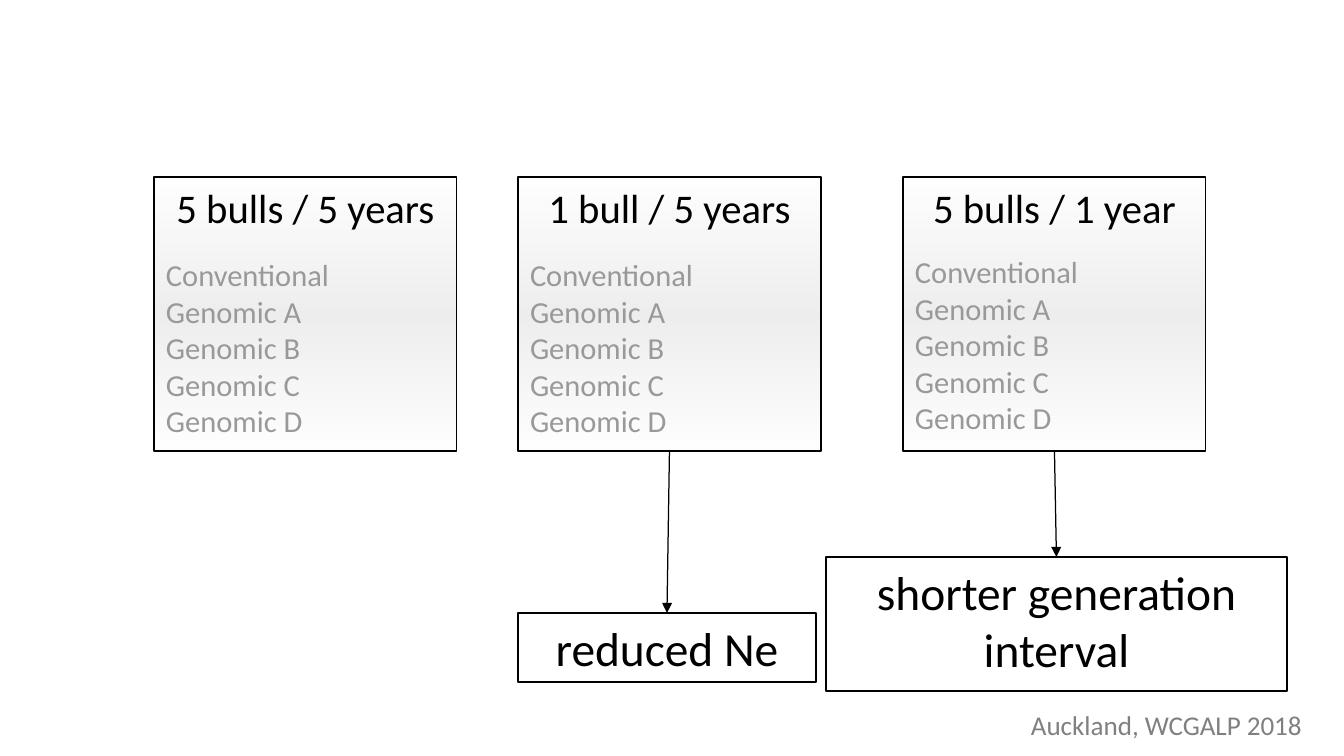
from lxml.etree import SubElement
from pptx import Presentation
from pptx.dml.color import RGBColor
from pptx.enum.shapes import MSO_CONNECTOR, MSO_SHAPE
from pptx.enum.text import MSO_ANCHOR, PP_ALIGN
from pptx.oxml.ns import qn
from pptx.util import Pt

EMU_PER_PX = 914400 / 122
BLACK = RGBColor(0x00, 0x00, 0x00)
GREY = RGBColor(0x80, 0x80, 0x80)
LIGHT_GREY = RGBColor(0x99, 0x99, 0x99)
PALE_GREY = RGBColor(0xEE, 0xEE, 0xEE)

BOTTOM, TOP = 2, 0
SCHEMES = ["Conventional", "Genomic A", "Genomic B", "Genomic C", "Genomic D"]
# heading, box left, list top
SCENARIOS = [
    ("5 bulls / 5 years", 154, 250),
    ("1 bull / 5 years", 518, 250),
    ("5 bulls / 1 year", 903, 247),
]
# scenario index, outcome, box
OUTCOMES = [
    (1, "reduced Ne", (518, 613, 298, 69)),
    (2, "shorter generation interval", (826, 557, 461, 134)),
]


def px(*lengths):
    return [round(length * EMU_PER_PX) for length in lengths]


class SlideBuilder:
    font_name = "Calibri"
    line_width = Pt(0.75)

    def __init__(self, slide):
        self.slide = slide

    def set_text(self, shape, lines, size, color, align=PP_ALIGN.LEFT):
        frame = shape.text_frame
        for name, value in {"word_wrap": True, "vertical_anchor": MSO_ANCHOR.TOP}.items():
            setattr(frame, name, value)
        frame.text = "\n".join(lines)
        for paragraph in frame.paragraphs:
            paragraph.alignment = align
            font = paragraph.runs[0].font
            for name, value in {"name": self.font_name, "size": Pt(size)}.items():
                setattr(font, name, value)
            font.color.rgb = color

    def draw_line(self, line):
        line.color.rgb = BLACK
        line.width = self.line_width

    def text(self, box, lines, size, color):
        self.set_text(self.slide.shapes.add_textbox(*px(*box)), lines, size, color)

    def box(self, box, label, size):
        shape = self.slide.shapes.add_shape(MSO_SHAPE.RECTANGLE, *px(*box))
        shape.shadow.inherit = False
        shape.fill.background()
        self.draw_line(shape.line)
        self.set_text(shape, [label], size, BLACK, PP_ALIGN.CENTER)
        return shape

    def add_glow(self, shape):
        """Fill with a vertical gradient that is opaque only halfway down."""
        shape.fill.gradient()
        shape.fill.gradient_angle = 270
        stops = next(shape.element.iter(qn("a:gsLst")))
        for stop in list(stops):
            stops.remove(stop)
        for position, opacity in ((0, 0), (50, 100), (100, 0)):
            stop = SubElement(stops, qn("a:gs"), pos=str(position * 1000))
            color = SubElement(stop, qn("a:srgbClr"), val=str(PALE_GREY))
            SubElement(color, qn("a:alpha"), val=str(opacity * 1000))

    def arrow(self, start, end):
        connector = self.slide.shapes.add_connector(MSO_CONNECTOR.STRAIGHT, 0, 0, 0, 0)
        connector.begin_connect(start, BOTTOM)
        connector.end_connect(end, TOP)
        self.draw_line(connector.line)
        line = next(connector.element.iter(qn("a:ln")))
        SubElement(line, qn("a:tailEnd"), type="triangle")
        SubElement(line.getparent(), qn("a:effectLst"))


def main():
    presentation = Presentation()
    presentation.slide_width, presentation.slide_height = px(1344, 756)
    slide = presentation.slides.add_slide(presentation.slide_layouts[6])
    builder = SlideBuilder(slide)

    builder.text((1019, 702, 298, 44), ["Auckland, WCGALP 2018"], 16, GREY)
    scenario_boxes = []
    for heading, left, list_top in SCENARIOS:
        scenario_box = builder.box((left, 177, 303, 274), heading, 24)
        builder.add_glow(scenario_box)
        scenario_boxes.append(scenario_box)
        builder.text((left, list_top, 240, 195), SCHEMES, 18, LIGHT_GREY)
    for index, outcome, place in OUTCOMES:
        outcome_box = builder.box(place, outcome, 28)
        builder.arrow(scenario_boxes[index], outcome_box)

    presentation.save("out.pptx")


if __name__ == "__main__":
    main()
